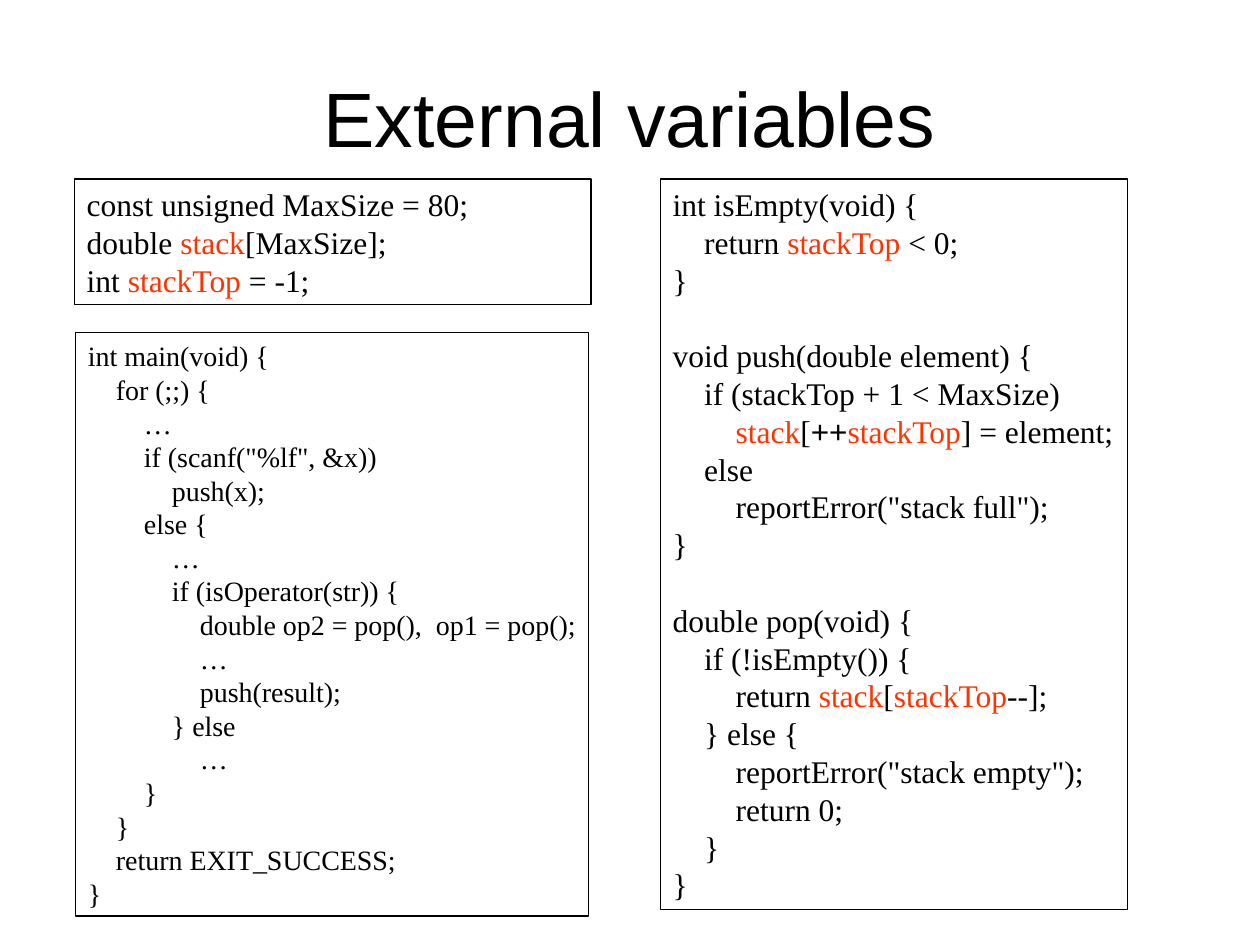
from pptx import Presentation
from pptx.dml.color import RGBColor
from pptx.enum.text import MSO_ANCHOR, PP_ALIGN
from pptx.util import Inches, Pt

COLORS = {"text": "000000", "external": "FF3300", "line": "000000"}
TITLE_FONT, CODE_FONT = "Arial", "Times New Roman"
LINE_HEIGHT = 1.2  # of the font size
TAB = 4  # spaces in one level of code

# "|" sets off the pieces of a line that have their own style.
GLOBALS = """\
const unsigned MaxSize = 80;
double |stack|[MaxSize];
int |stackTop| = -1;"""

MAIN = """\
int main(void) {
    for (;;) {
        …
        if (scanf("%lf", &x))
            push(x);
        else {
            …
            if (isOperator(str)) {
                double op2 = pop(),  op1 = pop();
                …
                push(result);
            } else
                …
        }
    }
    return EXIT_SUCCESS;
}"""

STACK_FUNCTIONS = """\
int isEmpty(void) {
    return |stackTop| < 0;
}

void push(double element) {
    if (stackTop + 1 < MaxSize)
        |stack|[|++|stackTop|] = element;
    else
        reportError("stack full");
}

double pop(void) {
    if (!isEmpty()) {
        return |stack|[|stackTop|--];
    } else {
        reportError("stack empty");
        return 0;
    }
}"""


def rgb(name):
    return RGBColor.from_string(COLORS[name])


class Deck:
    def __init__(self):
        self.prs = Presentation()
        self.prs.slide_width, self.prs.slide_height = Inches(10), Inches(7.5)
        self.s = None

    def slide(self):
        self.s = self.prs.slides.add_slide(self.prs.slide_layouts[5])

    def style(self, p, font, size):
        p.font.name, p.font.size = font, Pt(size)
        p.font.color.rgb = rgb("text")

    def title(self, text):
        sp = self.s.shapes.title
        sp.left, sp.top = Inches(0.5), Inches(0.3)
        sp.width, sp.height = Inches(9), Inches(1.25)
        tf = sp.text_frame
        tf.text, tf.vertical_anchor = text, MSO_ANCHOR.MIDDLE
        p = tf.paragraphs[0]
        p.alignment = PP_ALIGN.CENTER
        self.style(p, TITLE_FONT, 44)

    def code(self, left, top, width, height, source, size):
        """Add a framed listing; its indents and empty lines become spacing."""
        sp = self.s.shapes.add_textbox(
            Inches(left), Inches(top), Inches(width), Inches(height))
        sp.line.color.rgb, sp.line.width = rgb("line"), Pt(0.75)
        tf = sp.text_frame
        tf.word_wrap, tf.margin_right = True, 0
        line_height = Pt(size * LINE_HEIGHT)
        p, gap = tf.paragraphs[0], 0
        for number, line in enumerate(source.split("\n")):
            if not line:
                gap += line_height
                continue
            if number:
                p = tf.add_paragraph()
            self.style(p, CODE_FONT, size)
            p.line_spacing, p.space_before = line_height, gap
            gap = 0
            code = line.lstrip()
            level = (len(line) - len(code)) // TAB
            pPr = p._p.get_or_add_pPr()
            pPr.set("marL", str(Pt(level * size)))
            pPr.set("indent", "0")
            for piece in filter(None, code.split("|")):
                r = p.add_run()
                r.text = piece
                if piece in ("stack", "stackTop"):
                    r.font.color.rgb = rgb("external")
                elif piece == "++":
                    r.font.name = TITLE_FONT


def main():
    deck = Deck()
    deck.slide()
    deck.title("External variables")
    deck.code(0.6, 2.64, 4.07, 4.63, MAIN, 16)
    deck.code(0.59, 1.42, 4.1, 1, GLOBALS, 18)
    deck.code(5.24, 1.42, 3.71, 5.8, STACK_FUNCTIONS, 18)
    deck.prs.save("out.pptx")


if __name__ == "__main__":
    main()
